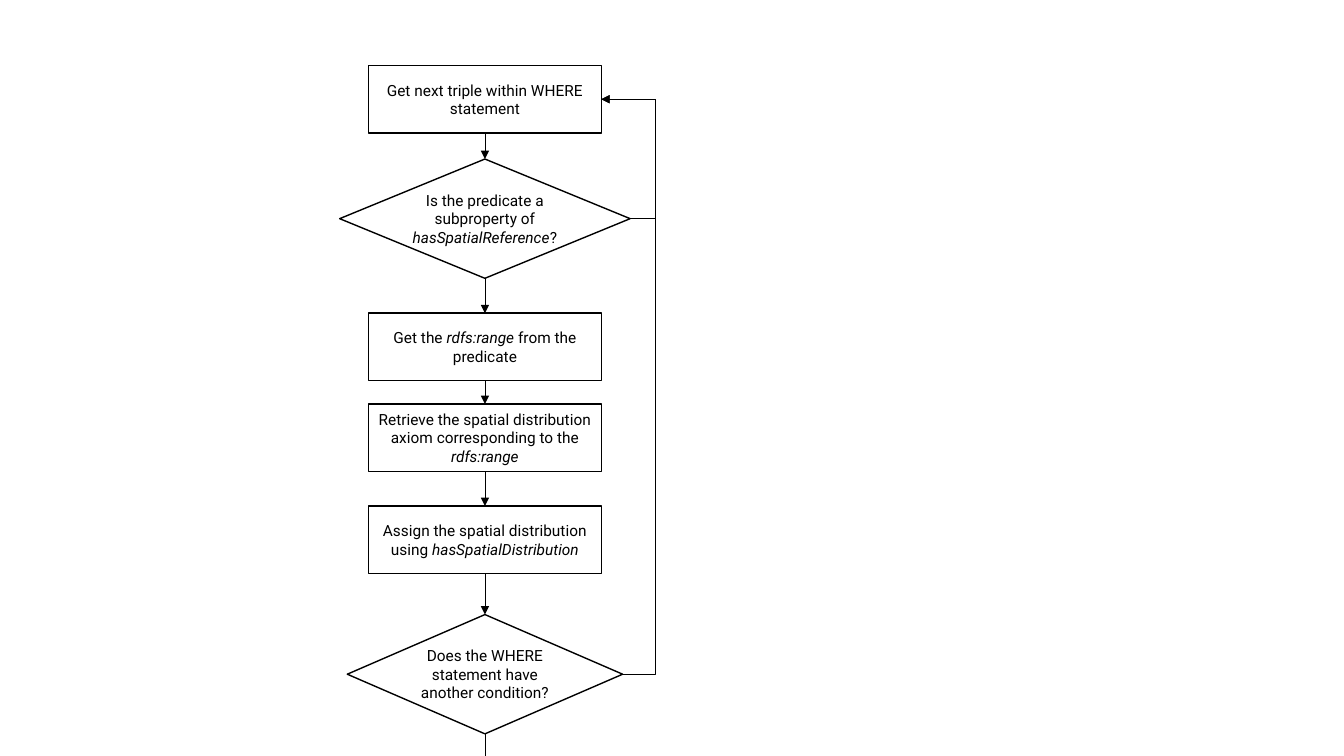
from itertools import pairwise

from lxml import etree
from pptx import Presentation
from pptx.dml.color import RGBColor
from pptx.enum.shapes import MSO_CONNECTOR, MSO_SHAPE
from pptx.enum.text import MSO_ANCHOR, PP_ALIGN
from pptx.oxml.ns import qn
from pptx.util import Pt

BOX, GEM = MSO_SHAPE.RECTANGLE, MSO_SHAPE.DIAMOND
LINE, BENT = MSO_CONNECTOR.STRAIGHT, MSO_CONNECTOR.ELBOW
MID, CENTER = MSO_ANCHOR.MIDDLE, PP_ALIGN.CENTER
TOP, BOTTOM, RIGHT = 0, 2, 3  # connection sites

COLORS = {"ink": "000000", "paper": "FFFFFF"}
AXIS = 346.4
BOX_W, BOX_H, GEM_H = 166.3, 48.2, 85.2
EXIT_Y = 550

# shape, top, width, text with *italics*
STEPS = [
    (BOX, 46.8, BOX_W, "Get next triple within WHERE statement"),
    (GEM, 113.6, 207.5, "Is the predicate a subproperty of *hasSpatialReference*?"),
    (BOX, 223.7, BOX_W, "Get the *rdfs:range* from the predicate"),
    (BOX, 288.6, BOX_W,
     "Retrieve the spatial distribution axiom corresponding to the *rdfs:range*"),
    (BOX, 361.5, BOX_W,
     "Assign the spatial distribution using *hasSpatialDistribution*"),
    (GEM, 439, 196.7, "Does the WHERE statement have another condition?"),
]


def color(name):
    return RGBColor.from_string(COLORS[name])


def write(frame, text, size=11, font="Roboto", ink="ink"):
    """Fill the frame with centred text; parts between asterisks are italic."""
    frame.word_wrap = True
    frame.vertical_anchor = MID
    para = frame.paragraphs[0]
    para.alignment = CENTER
    for i, part in enumerate(text.split("*")):
        if part:
            run = para.add_run()
            run.text = part
            run.font.size = Pt(size)
            run.font.name = font
            run.font.italic = i % 2 == 1
            run.font.color.rgb = color(ink)


def add_step(slide, kind, top, width, text):
    height = GEM_H if kind == GEM else BOX_H
    step = slide.shapes.add_shape(
        kind, Pt(AXIS - width / 2), Pt(top), Pt(width), Pt(height))
    step.shadow.inherit = False
    step.fill.solid()
    step.fill.fore_color.rgb = color("paper")
    step.line.color.rgb = color("ink")
    step.line.width = Pt(1)
    frame = step.text_frame
    if kind == GEM:
        frame.margin_left = frame.margin_right = 0
        frame.margin_top = frame.margin_bottom = 0
    write(frame, text)
    return step


def add_arrow(slide, kind, start, site, end=None, goal=TOP):
    """Join two steps, or lead off the foot of the slide if there is no end."""
    arrow = slide.shapes.add_connector(kind, Pt(AXIS), 0, Pt(AXIS), Pt(EXIT_Y))
    arrow.begin_connect(start, site)
    if end is not None:
        arrow.end_connect(end, goal)
    arrow.line.color.rgb = color("ink")
    arrow.line.width = Pt(0.5)
    props = arrow.line._get_or_add_ln()
    etree.SubElement(props, qn("a:tailEnd"), type="triangle")
    etree.SubElement(arrow._element.spPr, qn("a:effectLst"))
    return arrow


def add_loop(slide, start, end, rail):
    """Lead from the right of one step back to another by way of x = rail."""
    arrow = add_arrow(slide, BENT, start, RIGHT, end, RIGHT)
    ratio = (Pt(rail) - arrow.begin_x) / (arrow.end_x - arrow.begin_x)
    geom = arrow._element.spPr.find(qn("a:prstGeom"))
    guides = geom.find(qn("a:avLst"))
    etree.SubElement(guides, qn("a:gd"), name="adj1",
                     fmla=f"val {round(ratio * 100000)}")


def main():
    deck = Presentation()
    deck.slide_width, deck.slide_height = Pt(960), Pt(540)
    slide = deck.slides.add_slide(deck.slide_layouts[6])
    steps = [add_step(slide, *step) for step in STEPS]
    for start, end in pairwise(steps):
        add_arrow(slide, LINE, start, BOTTOM, end)
    add_arrow(slide, LINE, steps[-1], BOTTOM)
    add_loop(slide, steps[1], steps[0], 468)
    add_loop(slide, steps[-1], steps[0], 468.4)
    deck.save("out.pptx")


if __name__ == "__main__":
    main()
